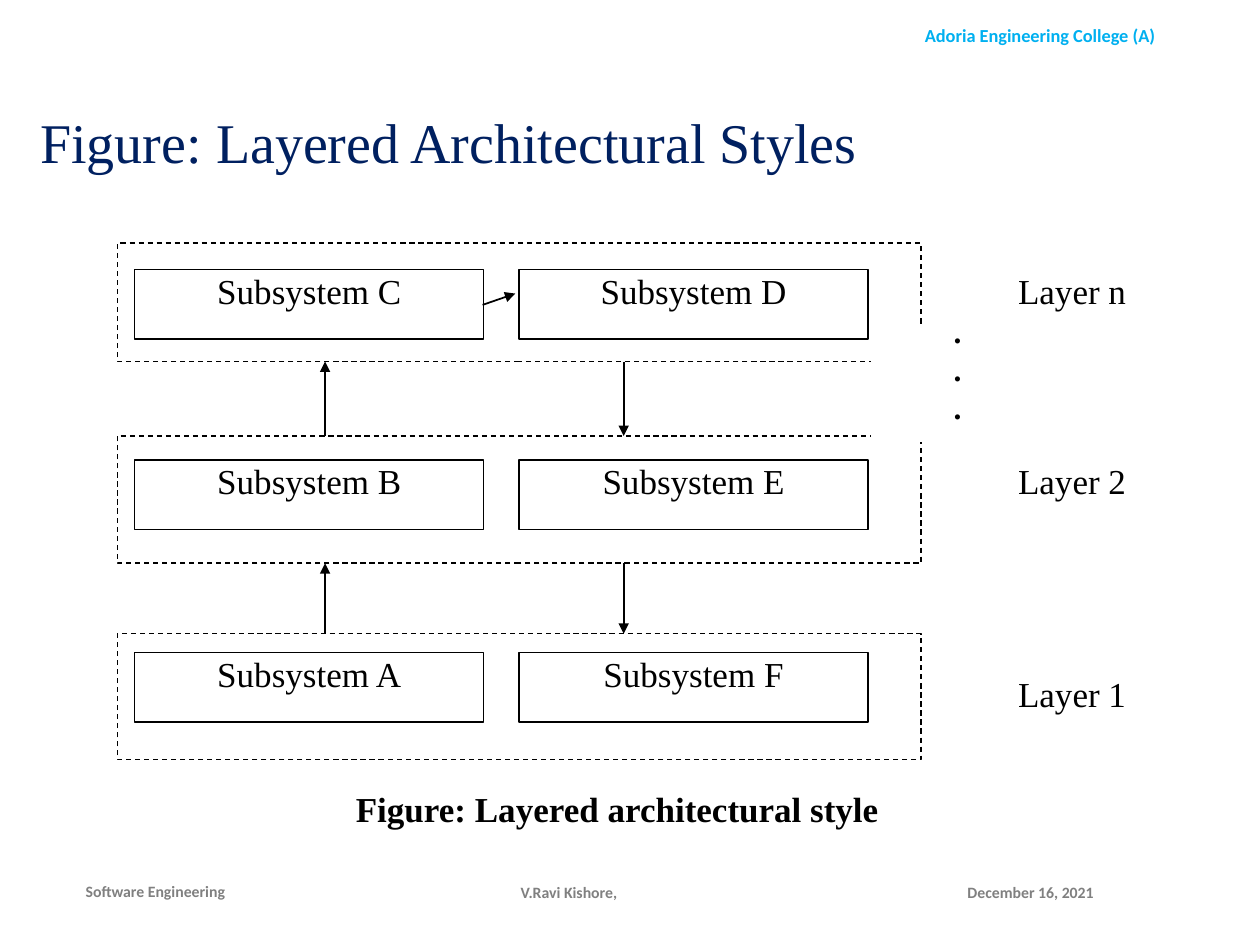
from dataclasses import dataclass

from lxml import etree
from pptx import Presentation
from pptx.dml.color import RGBColor
from pptx.enum.dml import MSO_LINE
from pptx.enum.shapes import MSO_CONNECTOR, MSO_SHAPE
from pptx.enum.text import MSO_ANCHOR, MSO_AUTO_SIZE, PP_ALIGN
from pptx.oxml.ns import qn
from pptx.util import Inches, Pt

LEFT, CENTER, JUSTIFY = PP_ALIGN.LEFT, PP_ALIGN.CENTER, PP_ALIGN.JUSTIFY
TOP, MIDDLE = MSO_ANCHOR.TOP, MSO_ANCHOR.MIDDLE
RECTANGLE, STRAIGHT, DASH = MSO_SHAPE.RECTANGLE, MSO_CONNECTOR.STRAIGHT, MSO_LINE.DASH


@dataclass(frozen=True)
class Theme:
    white: str = "FFFFFF"
    black: str = "000000"
    outline: float = 0.75
    arrow: float = 1


@dataclass(frozen=True)
class TextStyle:
    size: float
    name: str = "Times New Roman"
    color: str = "000000"
    bold: bool = False
    align: PP_ALIGN = CENTER
    anchor: MSO_ANCHOR = TOP
    insets: tuple = (0, 0)  # horizontal, vertical


THEME = Theme()
FOOTER = dict(size=9, name="Calibri", color="808080", bold=True, anchor=MIDDLE)
HEADER_STYLE = TextStyle(10.5, "Calibri", "00B0F0", True, insets=(0.1, 0.05))
TITLE_STYLE = TextStyle(32, color="002060", align=LEFT, anchor=MIDDLE, insets=(0.32, 0.05))
SUBSYSTEM_STYLE = TextStyle(20, insets=(0.02, 0))
LAYER_STYLE = TextStyle(20, align=LEFT, insets=(0.07, 0))
CAPTION_STYLE = TextStyle(20, bold=True)
DOTS_STYLE = TextStyle(18, bold=True)

TITLE = "Figure: Layered Architectural Styles"
CAPTION = "Figure: Layered architectural style"
MARGIN_TEXTS = [
    ("Adoria Engineering College (A)", (6.82, 0.14, 2.87, 0.28), HEADER_STYLE),
    ("Software Engineering", (0.61, 6.87, 1.58, 0.4),
     TextStyle(**FOOTER, align=JUSTIFY, insets=(0.07, 0.04))),
    ("December 16, 2021", (7.58, 6.88, 1.73, 0.4),
     TextStyle(**FOOTER, align=LEFT, insets=(0.1, 0.05))),
    ("V.Ravi Kishore,", (3.39, 6.88, 2.25, 0.4),
     TextStyle(**FOOTER, insets=(0.1, 0.05))),
]
# Layer name, its subsystems, band top and height, subsystem top, label top
LAYERS = [
    ("Layer n", ("Subsystem C", "Subsystem D"), 1.93, 0.94, 2.14, 2.14),
    ("Layer 2", ("Subsystem B", "Subsystem E"), 3.46, 1.01, 3.65, 3.65),
    ("Layer 1", ("Subsystem A", "Subsystem F"), 5.03, 1.0, 5.18, 5.34),
]
BAND_LEFT, BAND_WIDTH = 0.93, 6.38
COLUMNS, BOX_WIDTH, BOX_HEIGHT = (1.07, 4.12), 2.77, 0.55
LABEL_LEFT, LABEL_WIDTH = 8.01, 1.42
UP_X, DOWN_X = 2.58, 4.95
GAP_COVERS = [(LABEL_LEFT, 2.58, LABEL_WIDTH, 1.07), (6.92, 2.58, 0.92, 0.92)]
DOTS_AREA = (7.14, 2.48, 0.92, 0.92)


def rgb(value):
    return RGBColor.from_string(value)


def write(shape, text, style):
    frame = shape.text_frame
    horizontal, vertical = (Inches(inset) for inset in style.insets)
    settings = dict(text=text, word_wrap=True, auto_size=MSO_AUTO_SIZE.NONE,
                    vertical_anchor=style.anchor,
                    margin_left=horizontal, margin_right=horizontal,
                    margin_top=vertical, margin_bottom=vertical)
    for key, value in settings.items():
        setattr(frame, key, value)
    for paragraph in frame.paragraphs:
        paragraph.alignment = style.align
        for span in paragraph.runs:
            span.font.size = Pt(style.size)
            span.font.name = style.name
            span.font.bold = style.bold
            span.font.color.rgb = rgb(style.color)


def add_text(page, text, area, style):
    write(page.shapes.add_textbox(*map(Inches, area)), text, style)


def add_box(page, area, line=THEME.black, dash=None, text=None, style=None):
    box = page.shapes.add_shape(RECTANGLE, *map(Inches, area))
    box.shadow.inherit = False
    box.fill.solid()
    box.fill.fore_color.rgb = rgb(THEME.white)
    box.line.color.rgb = rgb(line)
    box.line.width = Pt(THEME.outline)
    if dash:
        box.line.dash_style = dash
    if text:
        write(box, text, style)


def add_arrow(page, start, end):
    arrow = page.shapes.add_connector(STRAIGHT, *map(Inches, (*start, *end)))
    arrow.line.color.rgb = rgb(THEME.black)
    arrow.line.width = Pt(THEME.arrow)
    etree.SubElement(arrow.line._get_or_add_ln(), qn("a:tailEnd"), type="triangle")
    etree.SubElement(arrow._element.spPr, qn("a:effectLst"))


def add_title(page):
    title = page.shapes.title
    title.left, title.top, title.width, title.height = map(Inches, (0, 0.75, 9, 0.8))
    write(title, TITLE, TITLE_STYLE)
    title.text_frame.paragraphs[0].line_spacing = 0.9


def add_layers(page):
    for _, _, top, height, _, _ in LAYERS:
        add_box(page, (BAND_LEFT, top, BAND_WIDTH, height), dash=DASH)
    for name, subsystems, _, _, box_top, label_top in LAYERS:
        add_box(page, (LABEL_LEFT, label_top, LABEL_WIDTH, BOX_HEIGHT),
                THEME.white, text=name, style=LAYER_STYLE)
        for left, subsystem in zip(COLUMNS, subsystems):
            add_box(page, (left, box_top, BOX_WIDTH, BOX_HEIGHT),
                    text=subsystem, style=SUBSYSTEM_STYLE)


def add_flow(page):
    for upper, lower in zip(LAYERS, LAYERS[1:]):
        upper_bottom, lower_top = upper[2] + upper[3], lower[2]
        add_arrow(page, (DOWN_X, upper_bottom), (DOWN_X, lower_top))
        add_arrow(page, (UP_X, lower_top), (UP_X, upper_bottom))
    add_arrow(page, (3.83, 2.42), (4.09, 2.33))


def main():
    deck = Presentation()
    deck.slide_width, deck.slide_height = Inches(10), Inches(7.5)
    page = deck.slides.add_slide(deck.slide_layouts.get_by_name("Title Only"))
    for text, area, style in MARGIN_TEXTS:
        add_text(page, text, area, style)
    add_title(page)
    add_layers(page)
    for area in GAP_COVERS:
        add_box(page, area, THEME.white)
    add_text(page, "\n".join("..."), DOTS_AREA, DOTS_STYLE)
    add_box(page, (1.61, 6.25, 6.58, 0.42), THEME.white, text=CAPTION, style=CAPTION_STYLE)
    add_flow(page)
    deck.save("out.pptx")


if __name__ == "__main__":
    main()
